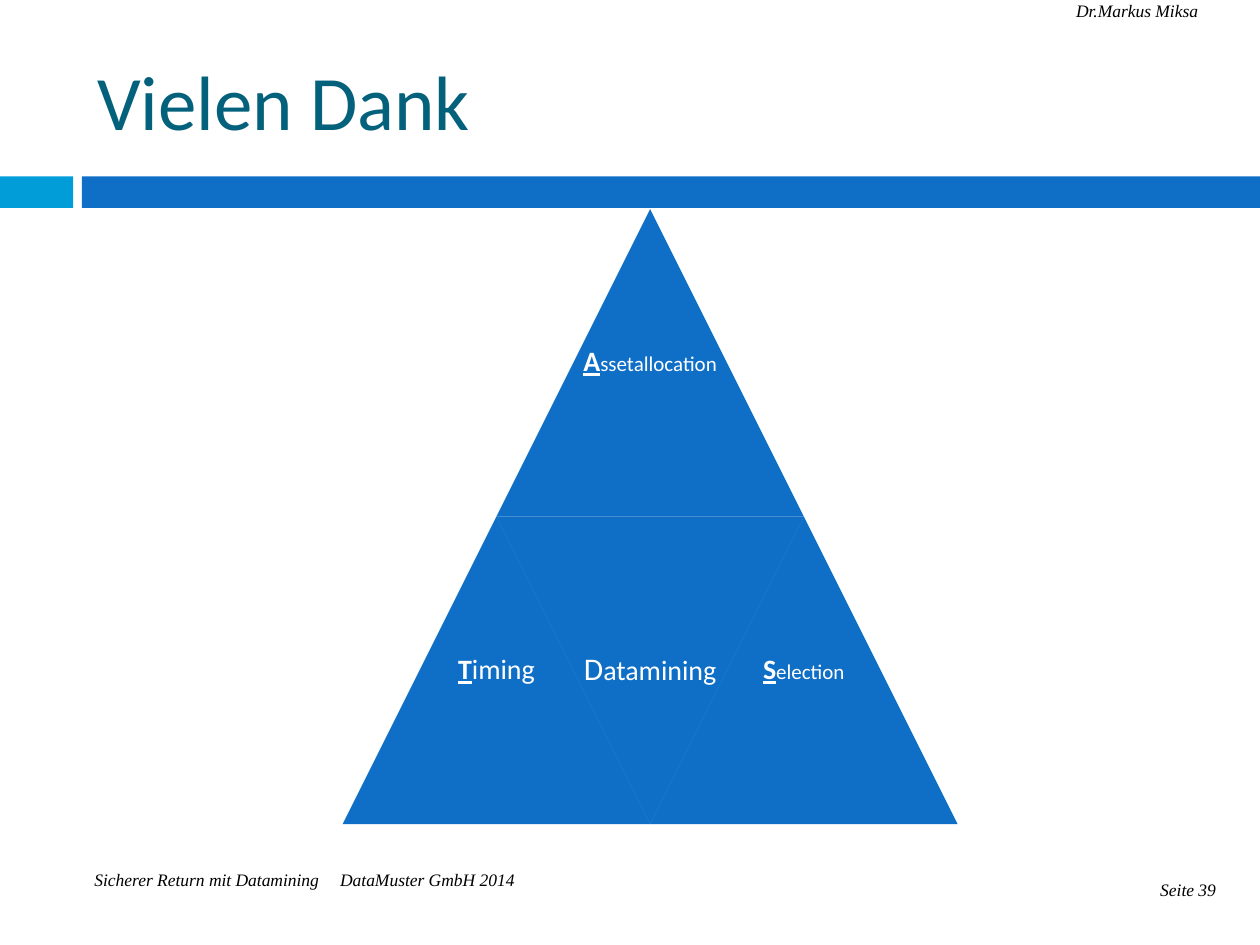
from pptx import Presentation
from pptx.dml.color import RGBColor
from pptx.enum.shapes import MSO_SHAPE
from pptx.enum.text import MSO_ANCHOR, PP_ALIGN
from pptx.util import Inches, Pt

BLUE, CYAN, TEAL = "0F6FC6", "009DD9", "04617B"
WHITE, BLACK = "FFFFFF", "000000"
SIDE = 2.44


def paint(color, tone):
    color.rgb = RGBColor.from_string(tone)


def place(shape, x, y, w, h):
    shape.left, shape.top = Inches(x), Inches(y)
    shape.width, shape.height = Inches(w), Inches(h)


def style(run, size, tone, name="Calibri"):
    run.font.size = Pt(size)
    run.font.name = name
    paint(run.font.color, tone)


def add_block(slide, kind, x, y, w, h, tone):
    block = slide.shapes.add_shape(kind, Inches(x), Inches(y), Inches(w), Inches(h))
    block.shadow.inherit = False
    block.fill.solid()
    paint(block.fill.fore_color, tone)
    block.line.fill.background()
    return block


def add_box(slide, x, y, w, h, inset, wrap):
    box = slide.shapes.add_textbox(Inches(x), Inches(y), Inches(w), Inches(h))
    frame = box.text_frame
    frame.word_wrap = wrap
    frame.margin_left = frame.margin_right = Inches(inset)
    frame.margin_top = frame.margin_bottom = Inches(inset)
    return frame


def add_note(slide, text, x, y, w, align=PP_ALIGN.LEFT):
    frame = add_box(slide, x, y, w, 0.34, 0, False)
    frame.text = text
    line = frame.paragraphs[0]
    line.alignment = align
    run = line.runs[0]
    style(run, 10, BLACK, "Times New Roman")
    run.font.italic = True


def add_title(slide, text):
    title = slide.shapes.title
    place(title, 0.67, 0.25, 8.92, 1.08)
    frame = title.text_frame
    frame.text = text
    frame.vertical_anchor = MSO_ANCHOR.MIDDLE
    frame.paragraphs[0].alignment = PP_ALIGN.LEFT
    style(frame.paragraphs[0].runs[0], 44, TEAL)


def add_part(slide, x, y, word, first, rest, strong=True, turn=0):
    """A triangle with a word whose first letter stands out."""
    add_block(slide, MSO_SHAPE.ISOSCELES_TRIANGLE, x, y, SIDE, SIDE, BLUE).rotation = turn
    frame = add_box(slide, x, y, SIDE, SIDE, 0.07, True)
    frame.vertical_anchor = MSO_ANCHOR.MIDDLE
    line = frame.paragraphs[0]
    line.alignment = PP_ALIGN.CENTER
    line.line_spacing = 0.9
    for text, size in ((word[0], first), (word[1:], rest)):
        run = line.add_run()
        run.text = text
        style(run, size, WHITE)
    line.runs[0].font.bold = line.runs[0].font.underline = strong


def main():
    deck = Presentation()
    deck.slide_width, deck.slide_height = Inches(10), Inches(7.5)
    slide = deck.slides.add_slide(deck.slide_layouts[5])

    # Band below the title
    add_block(slide, MSO_SHAPE.RECTANGLE, 0, 1.4, 0.58, 0.25, CYAN)
    add_block(slide, MSO_SHAPE.RECTANGLE, 0.65, 1.4, 9.35, 0.25, BLUE)

    # Header and footer
    add_note(slide, "Sicherer Return mit Datamining", 0.75, 6.9, 1.8)
    add_note(slide, "DataMuster GmbH 2014", 2.7, 6.9, 1.4)
    add_note(slide, "Dr.Markus Miksa", 8.54, 0, 1.26)
    add_note(slide, "Seite 39", 8.86, 6.98, 0.79, PP_ALIGN.RIGHT)

    add_title(slide, "Vielen Dank")

    # Pyramid: one triangle on top, three below
    left, top = 2.72, 1.66
    mid, low = left + SIDE / 2, top + SIDE
    add_part(slide, mid, top, "Assetallocation", 16, 12)
    add_part(slide, left, low, "Timing", 16, 16)
    add_part(slide, mid, low, "Datamining", 18, 16, strong=False, turn=180)
    add_part(slide, left + SIDE, low, "Selection", 16, 12)

    deck.save("out.pptx")


if __name__ == "__main__":
    main()
